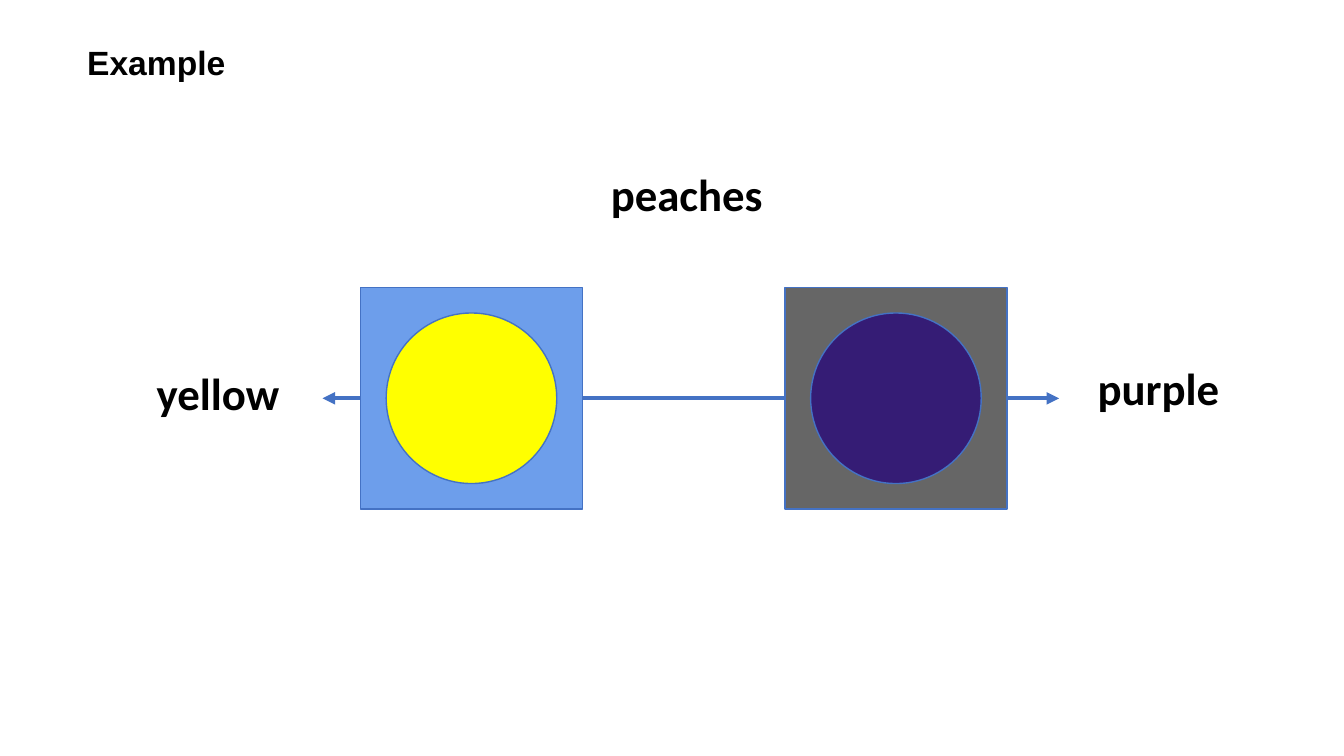
import pptx
import pptx.util
import pptx.dml.color
import pptx.enum.shapes
import pptx.enum.text
import pptx.oxml.ns
from lxml import etree

Pt = pptx.util.Pt
SHAPE = pptx.enum.shapes.MSO_SHAPE
ALIGN = pptx.enum.text.PP_ALIGN

TITLE = ("Example", 39.6, 15.1, 514.8, 45.4)
LABELS = [
    ("peaches", 300.2, 82.1, 135.4, 56.2),
    ("yellow", 59.8, 188.6, 113.8, 56.2),
    ("purple", 562.3, 185.8, 116.6, 56.2),
]
SIGNS = [(252.6, "6D9EEB", "FFFF00"), (480, "666666", "351C75")]
AXIS_Y = 213.4
AXIS_LEFT, AXIS_RIGHT = 172.8, 567.4
SQUARE, CIRCLE = 118.8, 91.4
LINE = "4472C4"


def color(value):
    return pptx.dml.color.RGBColor.from_string(value)


def add_text(s, text, x, y, w, h, size=24, font="Calibri", align=ALIGN.CENTER):
    tf = s.shapes.add_textbox(Pt(x), Pt(y), Pt(w), Pt(h)).text_frame
    tf.word_wrap = True
    tf.margin_left = tf.margin_right = tf.margin_top = tf.margin_bottom = Pt(7.2)
    p = tf.paragraphs[0]
    p.alignment = align
    r = p.add_run()
    r.text = text
    r.font.name = font
    r.font.size = Pt(size)
    r.font.bold = True
    r.font.color.rgb = color("000000")


def add_centered(s, kind, cx, cy, size, fill):
    sp = s.shapes.add_shape(kind, Pt(cx - size / 2), Pt(cy - size / 2), Pt(size), Pt(size))
    sp.shadow.inherit = False
    sp.fill.solid()
    sp.fill.fore_color.rgb = color(fill)
    sp.line.color.rgb = color(LINE)
    sp.line.width = Pt(0.75)


def add_axis(s):
    line = s.shapes.add_connector(
        pptx.enum.shapes.MSO_CONNECTOR.STRAIGHT,
        Pt(AXIS_LEFT), Pt(AXIS_Y), Pt(AXIS_RIGHT), Pt(AXIS_Y))
    line.line.color.rgb = color(LINE)
    line.line.width = Pt(2.25)
    ln = line.line._get_or_add_ln()
    for end in ("a:headEnd", "a:tailEnd"):
        etree.SubElement(ln, pptx.oxml.ns.qn(end), type="triangle")
    etree.SubElement(line._element.spPr, pptx.oxml.ns.qn("a:effectLst"))


prs = pptx.Presentation()
prs.slide_width, prs.slide_height = Pt(720), Pt(405)
s = prs.slides.add_slide(prs.slide_layouts[6])

add_text(s, *TITLE, size=18, font="Arial", align=ALIGN.LEFT)
for label in LABELS:
    add_text(s, *label)
add_axis(s)
for cx, square_fill, circle_fill in SIGNS:
    add_centered(s, SHAPE.RECTANGLE, cx, AXIS_Y, SQUARE, square_fill)
    add_centered(s, SHAPE.OVAL, cx, AXIS_Y, CIRCLE, circle_fill)

prs.save("out.pptx")
